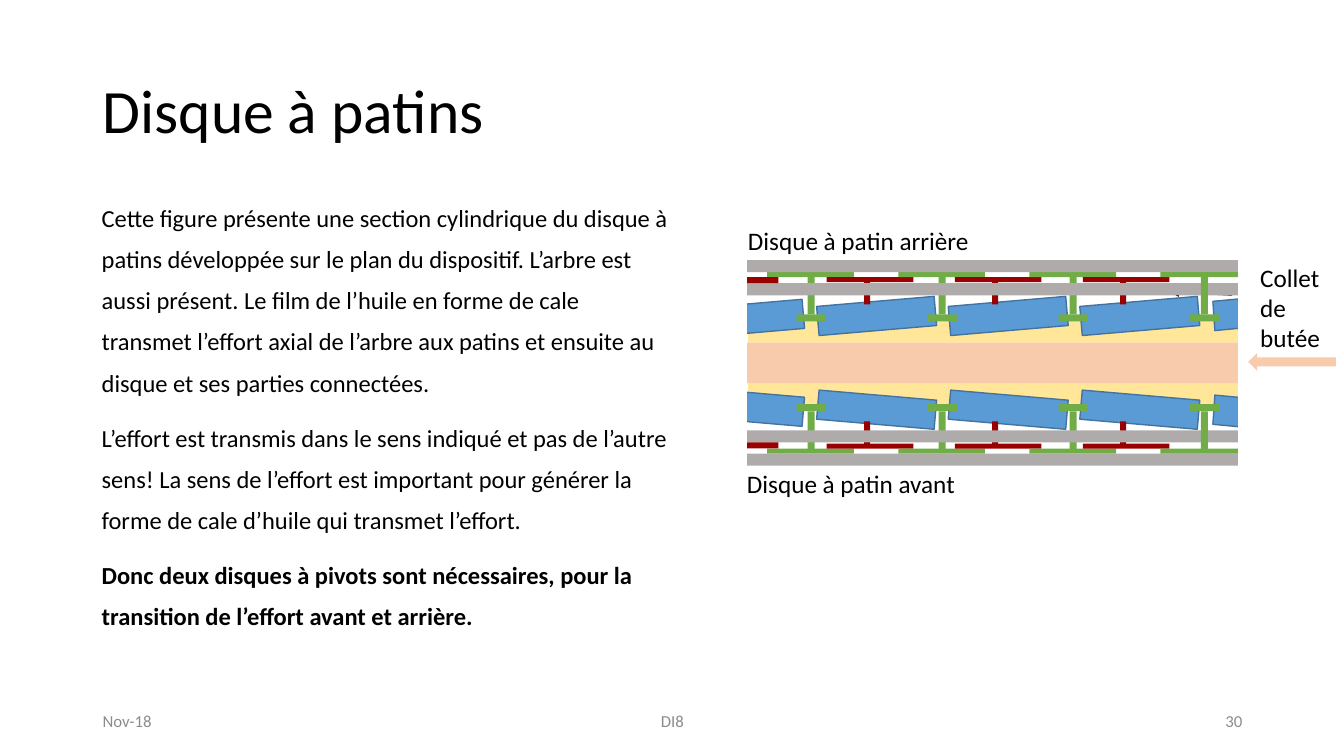
from dataclasses import dataclass

from lxml.etree import SubElement
from pptx import Presentation
from pptx.dml.color import RGBColor
from pptx.enum.shapes import MSO_CONNECTOR, MSO_SHAPE
from pptx.enum.text import MSO_ANCHOR, MSO_AUTO_SIZE, PP_ALIGN
from pptx.oxml.ns import qn
from pptx.util import Inches, Pt


@dataclass(frozen=True)
class Theme:
    font: str = "Calibri"
    ink: str = "000000"
    muted: str = "8C8C8C"
    paper: str = "FFFFFF"
    oil: str = "FFE699"
    pad: str = "5B9BD5"
    pad_edge: str = "43739E"
    pivot: str = "70AD47"
    spring: str = "990000"
    plate: str = "AFABAB"
    collar: str = "F8CBAD"
    title_size: float = 44
    body_size: float = 17.5
    label_size: float = 18
    footer_size: float = 12


def apply(target, values):
    for name, value in values.items():
        setattr(target, name, value)


class Sketch:
    def __init__(self, slide, theme):
        self.slide = slide
        self.theme = theme

    def paint(self, shape, fill, edge=None):
        shape.shadow.inherit = False
        shape.fill.solid()
        shape.fill.fore_color.rgb = RGBColor.from_string(fill)
        if edge:
            shape.line.color.rgb = RGBColor.from_string(edge)
            shape.line.width = Pt(1)
        else:
            shape.line.fill.background()

    def text(self, box, paragraphs, size, color=None, frame_format=None,
             paragraph_format=None, bold_last=False, gap=0):
        frame = self.slide.shapes.add_textbox(*map(Inches, box)).text_frame
        apply(frame, {"word_wrap": True, **(frame_format or {})})
        for index, wording in enumerate(paragraphs):
            paragraph = frame.paragraphs[0] if index == 0 else frame.add_paragraph()
            run = paragraph.add_run()
            run.text = wording
            apply(paragraph, paragraph_format or {})
            if index:
                paragraph.space_before = Pt(gap)
            is_bold = bold_last and index == len(paragraphs) - 1
            apply(run.font, {"name": self.theme.font, "size": Pt(size), "bold": is_bold})
            run.font.color.rgb = RGBColor.from_string(color or self.theme.ink)

    def label(self, box, wording):
        self.text(box, [wording], self.theme.label_size,
                  frame_format={"auto_size": MSO_AUTO_SIZE.SHAPE_TO_FIT_TEXT})

    def footer(self, box, wording, alignment):
        self.text(box, [wording], self.theme.footer_size, self.theme.muted,
                  {"vertical_anchor": MSO_ANCHOR.MIDDLE}, {"alignment": alignment})

    def block(self, shapes, box, fill, edge=None, kind=MSO_SHAPE.RECTANGLE, turn=0):
        block = shapes.add_shape(kind, *map(Inches, box))
        self.paint(block, fill, edge)
        block.rotation = turn

    def outline(self, shapes, points, fill, edge):
        corners = [(Inches(x), Inches(y)) for x, y in points]
        builder = shapes.build_freeform(*corners[0])
        builder.add_line_segments(corners[1:], close=True)
        self.paint(builder.convert_to_shape(), fill, edge)

    def arrow(self, start, end, width):
        ends = map(Inches, (*start, *end))
        arrow = self.slide.shapes.add_connector(MSO_CONNECTOR.STRAIGHT, *ends)
        arrow.line.color.rgb = RGBColor.from_string(self.theme.ink)
        arrow.line.width = Pt(width)
        SubElement(arrow.line._get_or_add_ln(), qn("a:tailEnd"), type="triangle")
        SubElement(arrow._element.spPr, qn("a:effectLst"))

    def disc(self, mirrored):
        theme = self.theme
        axis = 3.6
        tilt = -4.9 if mirrored else 4.9
        shapes = self.slide.shapes.add_group_shape().shapes

        def place(left, top, width, height, fill, edge=None, turn=0):
            if mirrored:
                top = 2 * axis - top - height
            self.block(shapes, (left, top, width, height), fill, edge, turn=turn)

        def pivot(index):
            left = 7.9 + 1.3 * index
            place(left, 4.01, 0.29, 0.07, theme.pivot)
            place(left + 0.11, 4.08, 0.07, 0.38, theme.pivot)
            place(left - 0.29, 4.45, 0.86, 0.05, theme.pivot)

        place(7.42, 3.8, 4.86, 0.23, theme.oil)
        place(7.01, 3.9, 0.96, 0.29, theme.pad, theme.pad_edge, tilt)
        cut_pad = [(12.05, 3.92), (12.9, 4), (12.78, 4.28), (12.03, 4.21)]
        if mirrored:
            cut_pad = [(x, 2 * axis - y) for x, y in cut_pad]
        self.outline(shapes, cut_pad, theme.pad, theme.pad_edge)
        for index in range(3):
            place(8.11 + 1.305 * index, 3.92, 1.17, 0.29, theme.pad, theme.pad_edge, tilt)
        for index in range(3):
            pivot(index)
            spring_left = 8.57 + 1.27 * index
            place(spring_left, 4.18, 0.06, 0.26, theme.spring)
            place(spring_left - 0.37, 4.4, 0.86, 0.05, theme.spring)
        place(7.39, 4.27, 4.9, 0.12, theme.plate)
        place(7.4, 3.59, 4.9, 0.21, theme.collar)
        place(7.39, 4.5, 4.9, 0.12, theme.plate)
        pivot(3)
        place(12.29, 3.56, 0.66, 1.39, theme.paper, theme.paper)
        place(7.01, 4.39, 0.71, 0.06, theme.spring)
        place(6.98, 3.43, 0.42, 1.39, theme.paper, theme.paper)


def main():
    deck = Presentation()
    apply(deck, {"slide_width": Inches(13.33), "slide_height": Inches(7.5)})
    theme = Theme()
    sketch = Sketch(deck.slides.add_slide(deck.slide_layouts[6]), theme)

    sketch.text((0.92, 0.4, 11.5, 1.45), ["Disque à patins"], theme.title_size,
                frame_format={"vertical_anchor": MSO_ANCHOR.MIDDLE},
                paragraph_format={"line_spacing": 0.9})
    explanation = [
        "Cette figure présente une section cylindrique du disque à patins développée "
        "sur le plan du dispositif. L’arbre est aussi présent. Le film de l’huile en "
        "forme de cale transmet l’effort axial de l’arbre aux patins et ensuite au "
        "disque et ses parties connectées.",
        "L’effort est transmis dans le sens indiqué et pas de l’autre sens! La sens de "
        "l’effort est important pour générer la forme de cale d’huile qui transmet "
        "l’effort.",
        "Donc deux disques à pivots sont nécessaires, pour la transition de l’effort "
        "avant et arrière.",
    ]
    sketch.text((0.91, 1.85, 5.85, 5), explanation, theme.body_size,
                paragraph_format={"line_spacing": 1.4}, bold_last=True, gap=10)

    sketch.arrow((12.22, 2.93), (11.61, 2.9), 0.5)
    for mirrored in (False, True):
        sketch.disc(mirrored)
    sketch.label((7.32, 2.19, 2.44, 0.4), "Disque à patin arrière")
    sketch.label((7.31, 4.6, 2.31, 0.4), "Disque à patin avant")
    sketch.label((12.4, 2.55, 0.88, 1.01), "Collet de butée")
    sketch.block(sketch.slide.shapes, (12.38, 3.5, 0.87, 0.18), theme.collar,
                 kind=MSO_SHAPE.LEFT_ARROW)

    sketch.footer((0.92, 6.95, 3, 0.4), "Nov-18", PP_ALIGN.LEFT)
    sketch.footer((4.42, 6.95, 4.5, 0.4), "DI8", PP_ALIGN.CENTER)
    sketch.footer((9.42, 6.95, 3, 0.4), "30", PP_ALIGN.RIGHT)
    deck.save("out.pptx")


if __name__ == "__main__":
    main()
